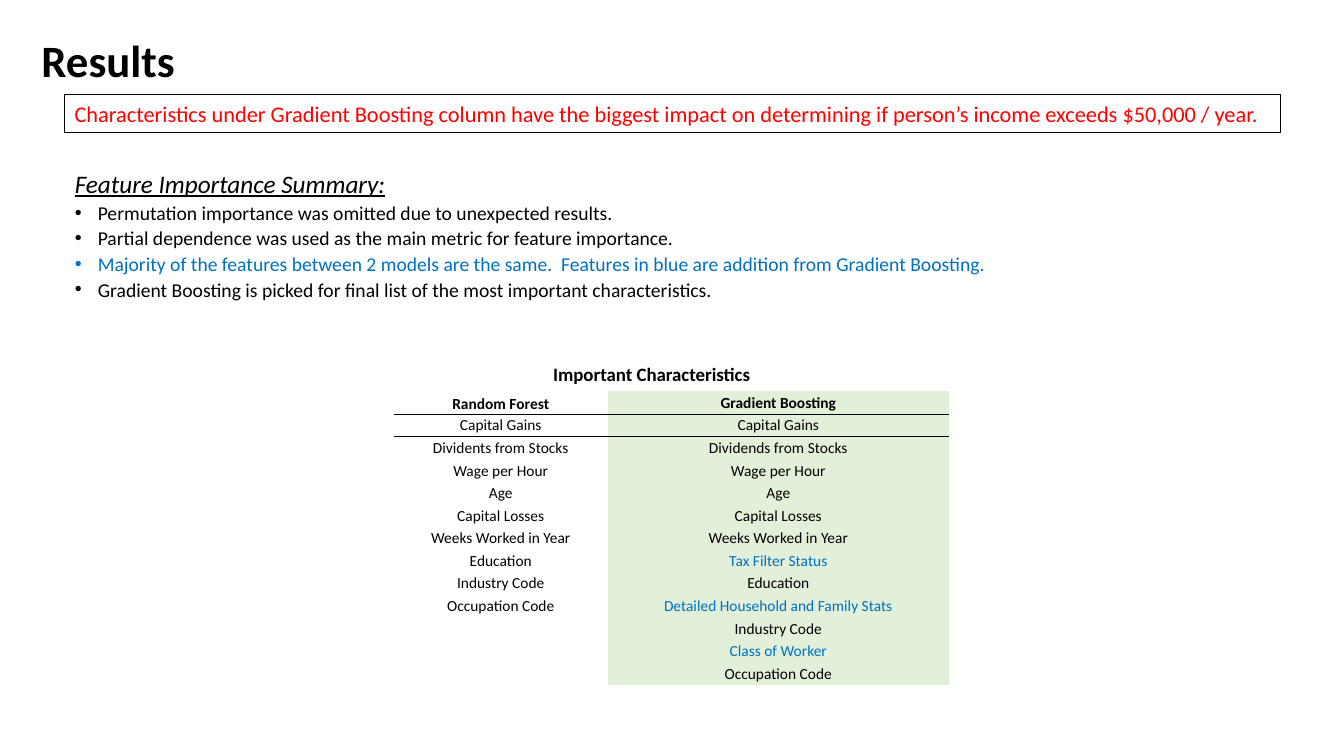
from itertools import zip_longest
from lxml.etree import SubElement
from pptx import Presentation
from pptx.dml.color import RGBColor
from pptx.enum.shapes import MSO_SHAPE
from pptx.enum.text import MSO_ANCHOR, MSO_AUTO_SIZE, PP_ALIGN
from pptx.oxml import parse_xml
from pptx.oxml.ns import nsdecls, qn
from pptx.util import Cm, Pt

HUES = {"ink": "000000", "blue": "0070C0", "red": "FF0000", "green": "E2F0D9", "white": "FFFFFF"}


def tint(name):
    return RGBColor.from_string(HUES[name])


def write(para, text, size, hue="ink", **form):
    run = para.add_run()
    run.text = text
    looks = {"name": "Calibri", "size": Pt(size), "bold": False, **form}
    for key, value in looks.items():
        setattr(run.font, key, value)
    run.font.color.rgb = tint(hue)


deck = Presentation()
deck.slide_width, deck.slide_height = Cm(33.87), Cm(19.05)
slide = deck.slides.add_slide(deck.slide_layouts[1])
title, body = slide.placeholders
banner = slide.shapes.add_shape(MSO_SHAPE.RECTANGLE, 0, 0, 0, 0)
label = slide.shapes.add_textbox(0, 0, 0, 0)

places = [
    (title, 0.79, 0.46, 17.04, 2.26),
    (body, 1.63, 4.11, 30.81, 3.71),
    (banner, 1.63, 2.39, 30.63, 0.94),
    (label, 13.69, 9.02, 5.54, 0.84),
]
for shape, *box in places:
    for key, value in zip(("left", "top", "width", "height"), box):
        setattr(shape, key, Cm(value))
    frame = shape.text_frame
    form = {"auto_size": MSO_AUTO_SIZE.NONE, "word_wrap": shape is not label, "vertical_anchor": MSO_ANCHOR.TOP}
    for key, value in form.items():
        setattr(frame, key, value)
    frame.paragraphs[0].alignment = PP_ALIGN.LEFT

title.text_frame.vertical_anchor = MSO_ANCHOR.MIDDLE
head = title.text_frame.paragraphs[0]
head.line_spacing = 0.9
write(head, "Results", 32, bold=True)

banner.shadow.inherit = False
banner.fill.background()
banner.line.color.rgb = tint("ink")
banner.line.width = Pt(0.75)
write(
    banner.text_frame.paragraphs[0],
    "Characteristics under Gradient Boosting column have the biggest impact on "
    "determining if person’s income exceeds $50,000 / year.",
    16,
    "red",
)
write(label.text_frame.paragraphs[0], "Important Characteristics", 13.5, bold=True)

points = [
    ("Feature Importance Summary:", "ink"),
    ("Permutation importance was omitted due to unexpected results.", "ink"),
    ("Partial dependence was used as the main metric for feature importance.", "ink"),
    ("Majority of the features between 2 models are the same.  Features in blue are addition from Gradient Boosting.", "blue"),
    ("Gradient Boosting is picked for final list of the most important characteristics.", "ink"),
]
for num, (text, hue) in enumerate(points):
    para = body.text_frame.add_paragraph() if num else body.text_frame.paragraphs[0]
    para.space_before, para.space_after = Pt(0), Pt(1.5)
    props = para._p.get_or_add_pPr()
    dent = Cm(0.58) if num else 0
    props.set("marL", str(dent))
    props.set("indent", str(-dent))
    if num:
        SubElement(props, qn("a:buFont"), typeface="Arial")
        SubElement(props, qn("a:buChar"), char="•")
        write(para, text, 14, hue)
    else:
        SubElement(props, qn("a:buNone"))
        write(para, text, 18, hue, italic=True, underline=True)

forest = [
    "Random Forest", "Capital Gains", "Dividents from Stocks", "Wage per Hour", "Age",
    "Capital Losses", "Weeks Worked in Year", "Education", "Industry Code", "Occupation Code",
]
boost = [
    "Gradient Boosting", "Capital Gains", "Dividends from Stocks", "Wage per Hour", "Age",
    "Capital Losses", "Weeks Worked in Year", "Tax Filter Status", "Education",
    "Detailed Household and Family Stats", "Industry Code", "Class of Worker", "Occupation Code",
]
added = {"Tax Filter Status", "Detailed Household and Family Stats", "Class of Worker"}
count = len(boost)
high = Cm(0.57)
grid = slide.shapes.add_table(count, 2, Cm(9.93), Cm(9.86), Cm(13.99), high * count)
grid.element.find(".//" + qn("a:tableStyleId")).text = "{2D5ABB26-0587-4C30-8999-92F81FD0307C}"
table = grid.table
table.first_row = table.horz_banding = False
for col, wide in zip(table.columns, (5.38, 8.61)):
    col.width = Cm(wide)

edges = {0: "lnB", 1: "lnT"}
for row, pair in enumerate(zip_longest(forest, boost)):
    table.rows[row].height = high
    for col, text in enumerate(pair):
        cell = table.cell(row, col)
        low = row == 0 and col == 0
        form = {
            "margin_left": Cm(0.02), "margin_right": Cm(0.02), "margin_top": Cm(0.02), "margin_bottom": 0,
            "vertical_anchor": MSO_ANCHOR.BOTTOM if low else MSO_ANCHOR.MIDDLE,
        }
        for key, value in form.items():
            setattr(cell, key, value)
        cell.fill.solid()
        cell.fill.fore_color.rgb = tint("green" if col else "white")
        para = cell.text_frame.paragraphs[0]
        para.alignment = PP_ALIGN.CENTER
        if text:
            write(para, text, 11, "blue" if text in added else "ink", bold=row == 0)
        else:
            SubElement(para._p, qn("a:endParaRPr"), sz="1100")
        if row in edges:
            edge = edges[row]
            cell._tc.tcPr.insert(0, parse_xml(
                f'<a:{edge} {nsdecls("a")} w="{Pt(0.5)}"><a:solidFill>'
                f'<a:srgbClr val="{HUES["ink"]}"/></a:solidFill></a:{edge}>'
            ))

deck.save("out.pptx")
